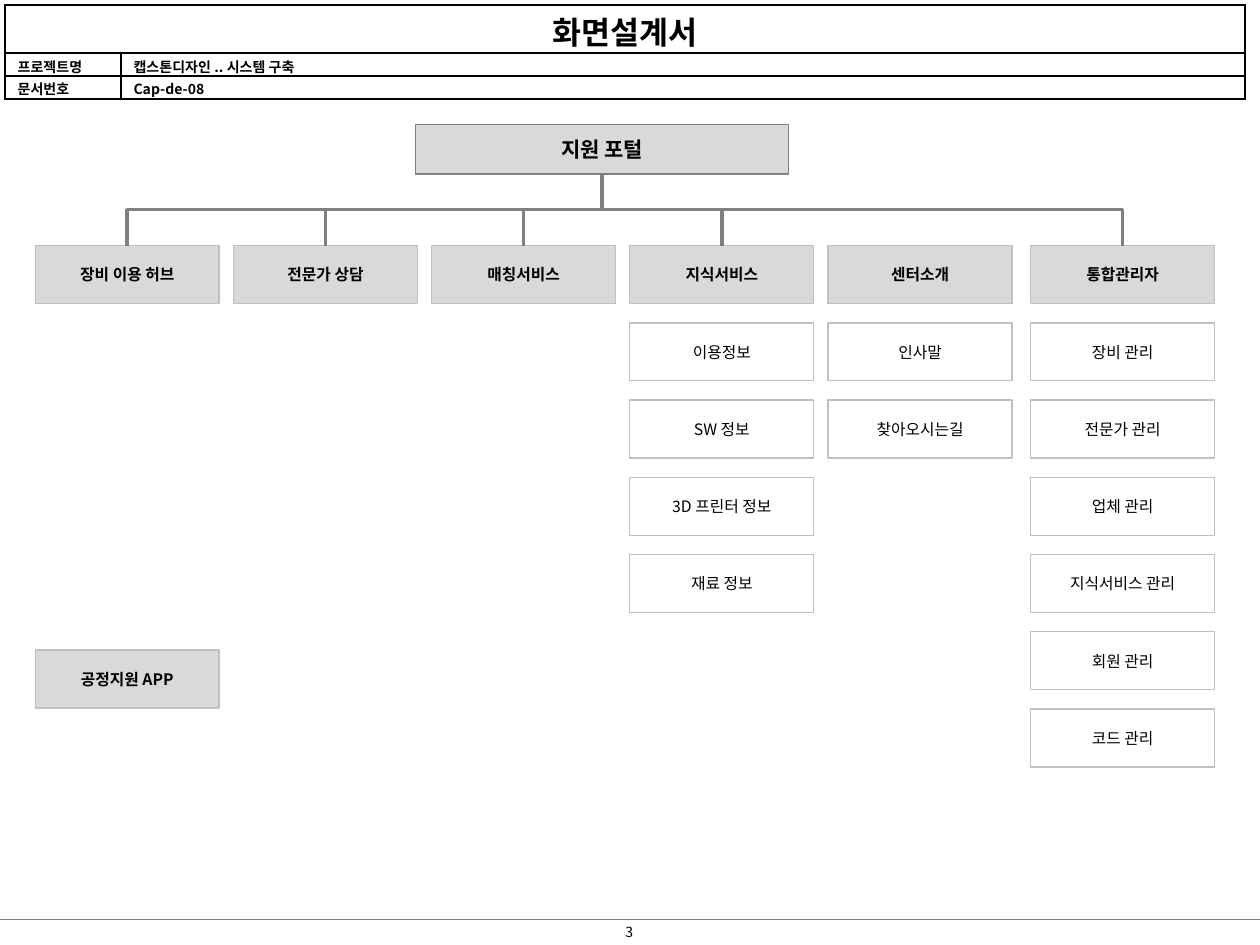
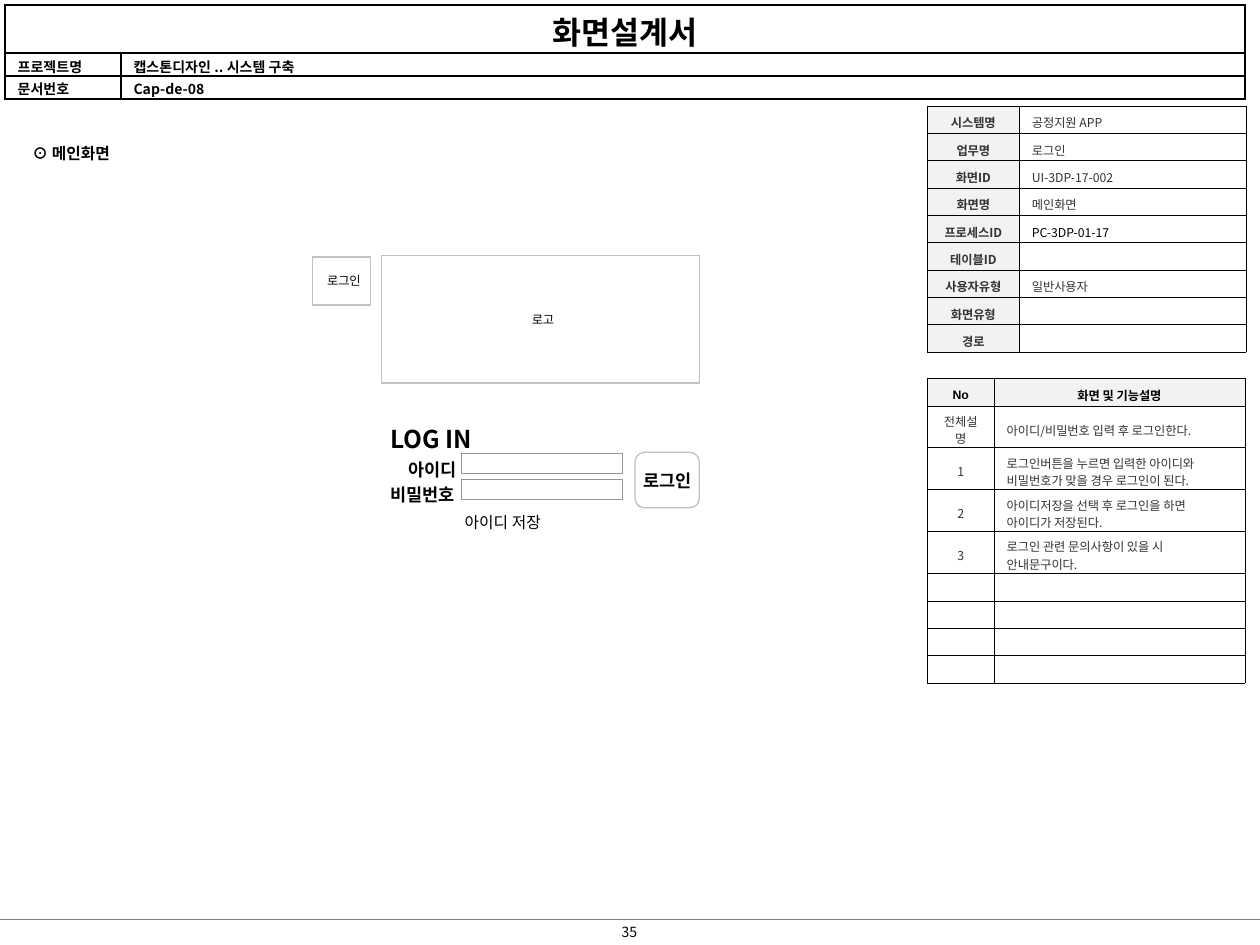
from dataclasses import dataclass

from lxml.etree import SubElement
from pptx import Presentation
from pptx.dml.color import RGBColor
from pptx.enum.shapes import MSO_CONNECTOR, MSO_SHAPE
from pptx.enum.text import MSO_ANCHOR, PP_ALIGN
from pptx.oxml.ns import qn
from pptx.util import Inches, Pt


@dataclass(frozen=True)
class Theme:
    font: str = "Noto Sans CJK KR"
    latin: str = "Arial"
    black: str = "000000"
    ink: str = "333333"
    white: str = "FFFFFF"
    pale: str = "F2F2F2"
    grey: str = "D9D9D9"
    border: str = "C0C0C0"
    field: str = "969696"
    rule: str = "808080"
    title: float = 18
    login: float = 14
    root: float = 12
    button: float = 10
    body: float = 9
    note: float = 8
    cell: float = 7


theme = Theme()
LEFT, CENTER, RIGHT = PP_ALIGN.LEFT, PP_ALIGN.CENTER, PP_ALIGN.RIGHT


def write(frame, text, size, bold=False, align=CENTER, color=theme.black, name=theme.font):
    paragraph = frame.paragraphs[0]
    paragraph.alignment = align
    paragraph.font.size = Pt(size)
    paragraph.font.bold = bold
    paragraph.font.name = name
    paragraph.font.color.rgb = RGBColor.from_string(color)
    defaults = paragraph._p.get_or_add_pPr().get_or_add_defRPr()
    SubElement(defaults, qn("a:ea"), typeface=theme.font)
    if text:
        paragraph.add_run().text = text
    else:
        SubElement(paragraph._p, qn("a:endParaRPr"), sz=str(int(size * 100)))
    return paragraph


def add_box(slide, at, text, size=theme.body, bold=False, fill=theme.white,
            line=theme.border, weight=0.75, kind=MSO_SHAPE.RECTANGLE, wrap=False):
    shape = slide.shapes.add_shape(kind, *map(Inches, at))
    shape.shadow.inherit = False
    shape.fill.solid()
    shape.fill.fore_color.rgb = RGBColor.from_string(fill)
    shape.line.color.rgb = RGBColor.from_string(line)
    shape.line.width = Pt(weight)
    if text:
        shape.text_frame.word_wrap = wrap
        shape.text_frame.vertical_anchor = MSO_ANCHOR.MIDDLE
        write(shape.text_frame, text, size, bold)
    return shape


presentation = Presentation()
presentation.slide_width, presentation.slide_height = Inches(10), Inches(7.5)
blank = presentation.slide_layouts[6]
map_slide, login_slide = [presentation.slides.add_slide(blank) for _ in range(2)]

banner = [["화면설계서", ""], ["프로젝트명", "캡스톤디자인 .. 시스템 구축"], ["문서번호", "Cap-de-08"]]
information = [
    ["시스템명", "공정지원 APP"], ["업무명", "로그인"], ["화면ID", "UI-3DP-17-002"],
    ["화면명", "메인화면"], ["프로세스ID", "PC-3DP-01-17"], ["테이블ID", ""],
    ["사용자유형", "일반사용자"], ["화면유형", ""], ["경로", ""],
]
functions = [
    ["No", "화면 및 기능설명"],
    ["전체설명", "아이디/비밀번호 입력 후 로그인한다."],
    ["1", "로그인버튼을 누르면 입력한 아이디와 비밀번호가 맞을 경우 로그인이 된다."],
    ["2", "아이디저장을 선택 후 로그인을 하면 아이디가 저장된다."],
    ["3", "로그인 관련 문의사항이 있을 시 안내문구이다."],
] + [["", ""]] * 4

tables = [
    (map_slide, banner, 0.04, 0.04, [0.92, 8.92], [0.38] + [0.175] * 2),
    (login_slide, banner, 0.04, 0.04, [0.92, 8.92], [0.38] + [0.175] * 2),
    (login_slide, functions, 7.36, 3.0, [0.53, 1.99], [0.22] + [0.333] * 4 + [0.217] * 4),
    (login_slide, information, 7.36, 0.84, [0.73, 1.8], [0.217] * 9),
]
for slide, content, left, top, widths, heights in tables:
    table = slide.shapes.add_table(len(content), 2, Inches(left), Inches(top),
                                   Inches(sum(widths)), Inches(sum(heights))).table
    table.first_row = table.horz_banding = False
    for column, width in enumerate(widths):
        table.columns[column].width = Inches(width)
    for row, height in enumerate(heights):
        table.rows[row].height = Inches(height)
    in_banner = content is banner
    if in_banner:
        table.cell(0, 0).merge(table.cell(0, 1))
    for row, texts in enumerate(content):
        for column, text in enumerate(texts):
            cell = table.cell(row, column)
            is_title = in_banner and row == 0
            is_head = content is functions and row == 0
            is_label = is_head or content is information and column == 0
            cell.margin_top = Inches(0.02 if in_banner else 0.05)
            cell.margin_bottom = 0
            if not in_banner:
                cell.vertical_anchor = MSO_ANCHOR.MIDDLE
            for side in ("a:lnL", "a:lnR", "a:lnT", "a:lnB"):
                edge = SubElement(cell._tc.get_or_add_tcPr(), qn(side),
                                  w=str(Pt(1 if in_banner else 0.25)))
                SubElement(SubElement(edge, qn("a:solidFill")), qn("a:srgbClr"), val=theme.black)
            cell.fill.solid()
            cell.fill.fore_color.rgb = RGBColor.from_string(theme.pale if is_label else theme.white)
            is_black = in_banner or is_head or text.startswith("PC-")
            write(cell.text_frame, text,
                  theme.title if is_title else theme.note if in_banner else theme.cell,
                  bold=in_banner or is_label,
                  align=CENTER if is_title or is_label or not in_banner and column == 0 else LEFT,
                  color=theme.black if is_black else theme.ink,
                  name=theme.latin if is_head else theme.font)

for slide, number in ((map_slide, "3"), (login_slide, "35")):
    footer = slide.shapes.add_connector(MSO_CONNECTOR.STRAIGHT, 0, Inches(7.3), Inches(10), Inches(7.3))
    footer.line.color.rgb = RGBColor.from_string(theme.rule)
    footer.line.width = Pt(0.75)
    SubElement(footer._element.spPr, qn("a:effectLst"))
    page = slide.shapes.add_textbox(Inches(4.72), Inches(7.28), Inches(0.55), Inches(0.24))
    page.text_frame.word_wrap = True
    write(page.text_frame, number, theme.note)

box_width, box_height = 1.46, 0.46
first_row, row_pitch = 1.95, 0.613
column_lefts = [0.28 + 1.573 * column for column in range(5)] + [8.18]
menus = [
    ("장비 이용 허브", []),
    ("전문가 상담", []),
    ("매칭서비스", []),
    ("지식서비스", ["이용정보", "SW 정보", "3D 프린터 정보", "재료 정보"]),
    ("센터소개", ["인사말", "찾아오시는길"]),
    ("통합관리자", ["장비 관리", "전문가 관리", "업체 관리", "지식서비스 관리", "회원 관리", "코드 관리"]),
]
portal = add_box(map_slide, (3.3, 0.99, 2.96, 0.39), "지원 포털", theme.root, True, theme.grey, theme.rule)
add_box(map_slide, (column_lefts[0], 5.16, box_width, box_height), "공정지원 APP", bold=True, fill=theme.grey)
for left, (heading, items) in zip(column_lefts, menus):
    menu = add_box(map_slide, (left, first_row, box_width, box_height), heading, bold=True, fill=theme.grey)
    for row, item in enumerate(items, 1):
        add_box(map_slide, (left, first_row + row * row_pitch, box_width, box_height), item)
    if heading == "센터소개":
        continue
    branch = map_slide.shapes.add_connector(MSO_CONNECTOR.ELBOW, 0, 0, 0, 0)
    branch.begin_connect(portal, 2)
    branch.end_connect(menu, 0)
    start_x, start_y = portal.left + portal.width // 2, portal.top + portal.height
    end_x, end_y = menu.left + menu.width // 2, menu.top
    drop, reach = end_y - start_y, abs(end_x - start_x)
    branch.left, branch.top = (start_x + end_x - drop) // 2, (start_y + end_y - reach) // 2
    branch.width, branch.height = drop, reach
    frame = branch._element.spPr.find(qn("a:xfrm"))
    frame.set("rot", str((270 if end_x > start_x else 90) * 60000))
    frame.set("flipH", "1" if end_x > start_x else "0")
    frame.set("flipV", "0")
    branch.line.color.rgb = RGBColor.from_string(theme.rule)
    branch.line.width = Pt(2)
    SubElement(branch._element.spPr, qn("a:effectLst"))

for at, text in (((3.03, 2.03, 2.52, 1.01), "로고"), ((2.48, 2.04, 0.46, 0.38), "로그인")):
    area = add_box(login_slide, at, text, theme.cell, wrap=True)
    area.text_frame.margin_left, area.text_frame.margin_right = Inches(0.08), Inches(0.04)
for top in (3.6, 3.8):
    add_box(login_slide, (3.66, top, 1.28, 0.16), "", line=theme.field, weight=0.25)
add_box(login_slide, (5.04, 3.59, 0.51, 0.44), "로그인", theme.button, True, kind=MSO_SHAPE.ROUNDED_RECTANGLE)

labels = [
    ((0.16, 1.09, 0.87, 0.25), "⊙ 메인화면", theme.body, True, LEFT, 1, 0.1, 0.05),
    ((3.02, 3.28, 0.87, 0.28), "LOG IN", theme.login, True, LEFT, 1.2, 0.08, 0.04),
    ((2.74, 3.57, 0.96, 0.25), "아이디", theme.button, True, RIGHT, 1.2, 0.08, 0.04),
    ((2.63, 3.77, 1.06, 0.25), "비밀번호", theme.button, True, RIGHT, 1.2, 0.08, 0.04),
    ((3.27, 4.03, 1.44, 0.19), "아이디 저장", theme.body, False, CENTER, 1, 0.1, 0.04),
]
for at, text, size, bold, align, spacing, side_margin, top_margin in labels:
    label = login_slide.shapes.add_textbox(*map(Inches, at)).text_frame
    label.word_wrap = text != "⊙ 메인화면"
    label.margin_left = label.margin_right = Inches(side_margin)
    label.margin_top = label.margin_bottom = Inches(top_margin)
    write(label, text, size, bold, align).line_spacing = spacing

presentation.save("out.pptx")
